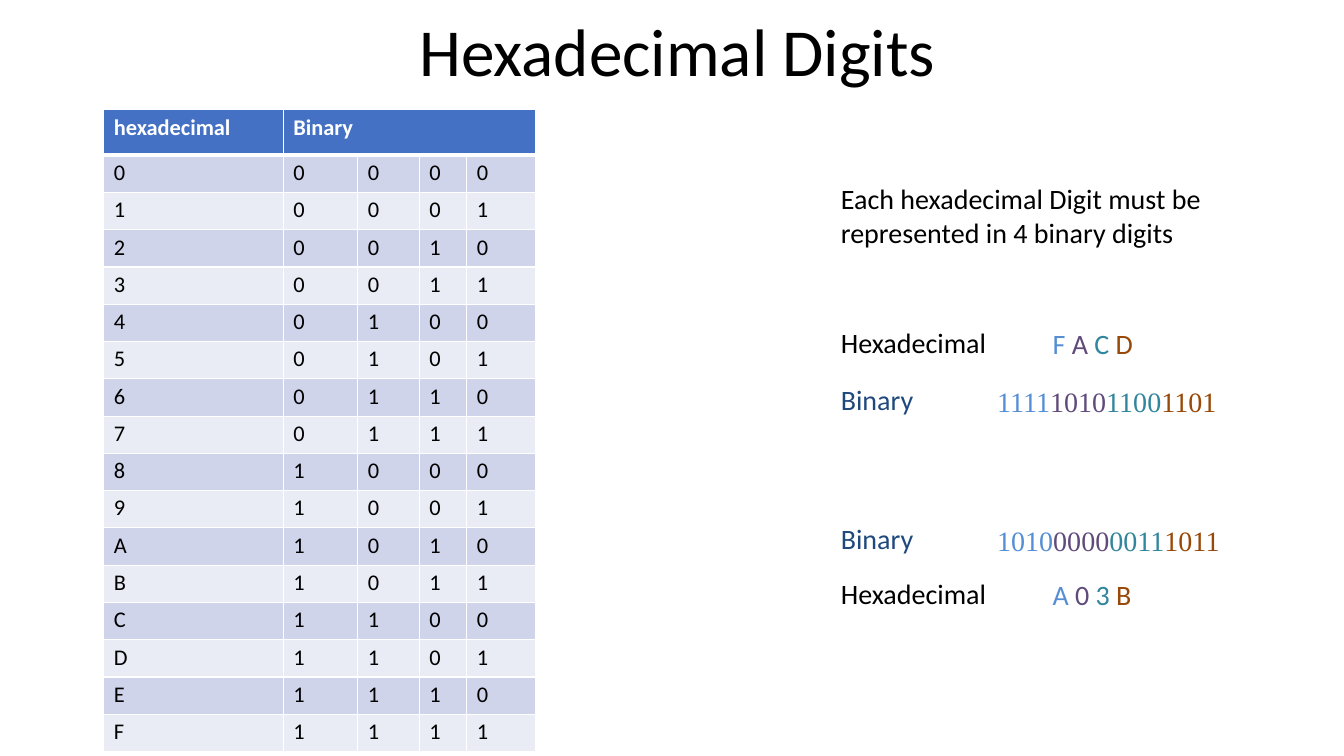
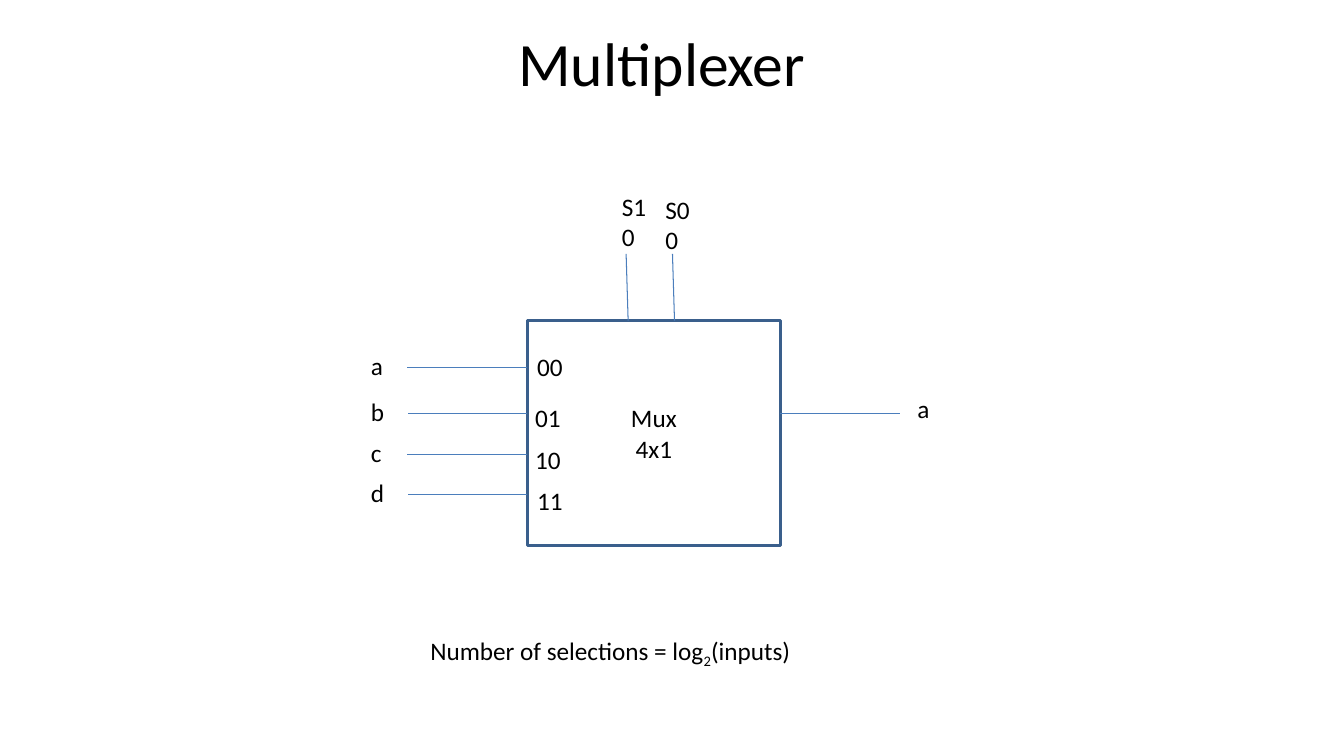
from lxml.etree import SubElement
from pptx import Presentation
from pptx.dml.color import RGBColor
from pptx.enum.shapes import MSO_CONNECTOR, MSO_SHAPE
from pptx.enum.text import MSO_ANCHOR, MSO_AUTO_SIZE, PP_ALIGN
from pptx.oxml.ns import qn
from pptx.util import Inches, Pt

BLACK = RGBColor(0x00, 0x00, 0x00)
WHITE = RGBColor(0xFF, 0xFF, 0xFF)
HEADER_BLUE = RGBColor(0x44, 0x71, 0xC4)
BAND_DARK = RGBColor(0xCF, 0xD4, 0xEA)
BAND_LIGHT = RGBColor(0xE9, 0xEB, 0xF5)
NAVY = RGBColor(0x1F, 0x49, 0x7D)
BOX_BLUE = RGBColor(0x3A, 0x5F, 0x8C)
WIRE_BLUE = RGBColor(0x4B, 0x7E, 0xBC)
DIGIT_COLORS = (
    RGBColor(0x55, 0x8E, 0xD5),
    RGBColor(0x60, 0x4A, 0x7B),
    RGBColor(0x31, 0x85, 0x9C),
    RGBColor(0x98, 0x48, 0x07),
)
SANS = "Calibri"
SERIF = "Times New Roman"
TIGHT = (0.01, 0.01, 0, 0)
PADDED = (0.1, 0.05, 0.1, 0.05)


class Deck:
    def __init__(self):
        self.presentation = Presentation()
        self.presentation.slide_width = Inches(13.33)
        self.presentation.slide_height = Inches(7.5)
        self.slide = None

    def style(self, paragraph, size, color=BLACK, font=SANS, bold=False):
        paragraph.font.name = font
        paragraph.font.size = Pt(size)
        paragraph.font.bold = bold
        paragraph.font.color.rgb = color

    def set_margins(self, target, margins):
        (target.margin_left, target.margin_top,
         target.margin_right, target.margin_bottom) = map(Inches, margins)

    def add_slide(self, title, left, top, width, height, size):
        layout = self.presentation.slide_layouts[5]
        self.slide = self.presentation.slides.add_slide(layout)
        shape = self.slide.shapes.title
        shape.left, shape.top = Inches(left), Inches(top)
        shape.width, shape.height = Inches(width), Inches(height)
        frame = shape.text_frame
        frame.text = title
        frame.auto_size = MSO_AUTO_SIZE.NONE
        frame.vertical_anchor = MSO_ANCHOR.TOP
        self.set_margins(frame, TIGHT)
        paragraph = frame.paragraphs[0]
        paragraph.alignment = PP_ALIGN.LEFT
        self.style(paragraph, size)

    def add_text(self, text, left, top, width, height, size=18, color=BLACK, margins=PADDED):
        shape = self.slide.shapes.add_textbox(
            Inches(left), Inches(top), Inches(width), Inches(height))
        frame = shape.text_frame
        frame.word_wrap = True
        self.set_margins(frame, margins)
        frame.text = text
        for paragraph in frame.paragraphs:
            self.style(paragraph, size, color)
        return frame.paragraphs[0]

    def add_digits(self, groups, left, top, font):
        paragraph = self.add_text("", left, top, 2.4, 0.35, 20, margins=TIGHT)
        self.style(paragraph, 20, font=font)
        for group, color in zip(groups, DIGIT_COLORS):
            run = paragraph.add_run()
            run.text = group
            run.font.color.rgb = color

    def add_box(self, text, left, top, width, height):
        shape = self.slide.shapes.add_shape(
            MSO_SHAPE.RECTANGLE, Inches(left), Inches(top), Inches(width), Inches(height))
        shape.shadow.inherit = False
        shape.fill.background()
        shape.line.color.rgb = BOX_BLUE
        shape.line.width = Pt(2)
        shape.text_frame.text = text
        shape.text_frame.vertical_anchor = MSO_ANCHOR.MIDDLE
        for paragraph in shape.text_frame.paragraphs:
            paragraph.alignment = PP_ALIGN.CENTER
            self.style(paragraph, 18)

    def add_wire(self, x1, y1, x2, y2):
        wire = self.slide.shapes.add_connector(
            MSO_CONNECTOR.STRAIGHT, Inches(x1), Inches(y1), Inches(x2), Inches(y2))
        wire.line.color.rgb = WIRE_BLUE
        wire.line.width = Pt(0.75)
        SubElement(wire._element.spPr, qn("a:effectLst"))

    def add_borders(self, cell, widths):
        properties = cell._tc.get_or_add_tcPr()
        for side, width in zip("LRTB", widths):
            line = SubElement(properties, qn(f"a:ln{side}"), w=str(Pt(width)))
            fill = SubElement(line, qn("a:solidFill"))
            SubElement(fill, qn("a:srgbClr"), val=str(WHITE))

    def add_table(self, rows, left, top, column_widths, row_heights):
        table = self.slide.shapes.add_table(
            len(rows), len(column_widths), Inches(left), Inches(top),
            Inches(sum(column_widths)), Inches(sum(row_heights))).table
        table.first_row = table.horz_banding = False
        for column, width in zip(table.columns, column_widths):
            column.width = Inches(width)
        for index, (row, values) in enumerate(zip(table.rows, rows)):
            row.height = Inches(row_heights[index])
            header = index == 0
            band = HEADER_BLUE if header else BAND_DARK if index % 2 else BAND_LIGHT
            for cell, value in zip(row.cells, values):
                cell.text = value
                self.set_margins(cell, (0.1, 0.04, 0, 0))
                self.add_borders(cell, (1, 1, 3 if index == 1 else 1, 3 if header else 1))
                cell.fill.solid()
                cell.fill.fore_color.rgb = band
                self.style(cell.text_frame.paragraphs[0], 16,
                           WHITE if header else BLACK, bold=header)
        table.cell(0, 1).merge(table.cell(0, len(column_widths) - 1))


def build_hexadecimal(deck):
    deck.add_slide("Hexadecimal Digits", 4.15, 0.08, 8.61, 0.82, 48)
    rows = [["hexadecimal", "Binary", "", "", ""]]
    rows += [[f"{number:X}", *f"{number:04b}"] for number in range(16)]
    deck.add_table(rows, 1.03, 1.09, (1.78, 0.74, 0.61, 0.47, 0.68), [0.45] + [0.37] * 16)
    deck.add_text("Each hexadecimal Digit must be represented in 4 binary digits",
                  8.33, 1.79, 3.69, 0.69, 20, margins=TIGHT)
    examples = (
        (3.22, 3.78, ("F ", "A ", "C ", "D"), ("1111", "1010", "1100", "1101")),
        (5.71, 5.16, ("A", " 0 ", "3", " B"), ("1010", "0000", "0011", "1011")),
    )
    for hexadecimal_top, binary_top, hexadecimal, binary in examples:
        deck.add_text("Hexadecimal", 8.33, hexadecimal_top, 1.5, 0.35, 20, margins=TIGHT)
        deck.add_digits(hexadecimal, 10.43, hexadecimal_top + 0.01, SANS)
        deck.add_text("Binary", 8.33, binary_top, 1.5, 0.35, 20, NAVY, TIGHT)
        deck.add_digits(binary, 9.88, binary_top + 0.02, SERIF)


def build_multiplexer(deck):
    deck.add_slide("Multiplexer", 5.13, 0.24, 4.77, 0.75, 44)
    deck.add_box("Mux\n4x1", 5.23, 3.18, 2.51, 2.23)
    inputs = (
        ("a", "00", 4.04, 3.65, 5.23, 3.44),
        ("b", "01", 4.05, 4.1, 5.21, 3.94),
        ("c", "10", 4.04, 4.51, 5.21, 4.36),
        ("d", "11", 4.05, 4.91, 5.23, 4.77),
    )
    for name, code, wire_left, wire_top, code_left, code_top in inputs:
        deck.add_wire(wire_left, wire_top, 5.23, wire_top)
        deck.add_text(code, code_left, code_top, 0.51, 0.4)
        deck.add_text(name, 3.58, wire_top - 0.22, 0.51, 0.4)
    deck.add_wire(7.74, 4.1, 8.93, 4.1)
    deck.add_text("a", 9, 3.85, 1.19, 0.4)
    for name, left, top, wire_left in (("S1", 6.07, 1.85, 6.21), ("S0", 6.5, 1.88, 6.67)):
        deck.add_wire(wire_left, 2.52, wire_left + 0.02, 3.18)
        deck.add_text(f"{name}\n0", left, top, 0.51, 0.71)
    formula = deck.add_text("Number of selections = log", 4.17, 6.25, 7.83, 0.4)
    base = formula.add_run()
    base.text = "2"
    base._r.get_or_add_rPr().set("baseline", "-25000")
    formula.add_run().text = "(inputs)"


def main():
    deck = Deck()
    build_hexadecimal(deck)
    build_multiplexer(deck)
    deck.presentation.save("out.pptx")


if __name__ == "__main__":
    main()
